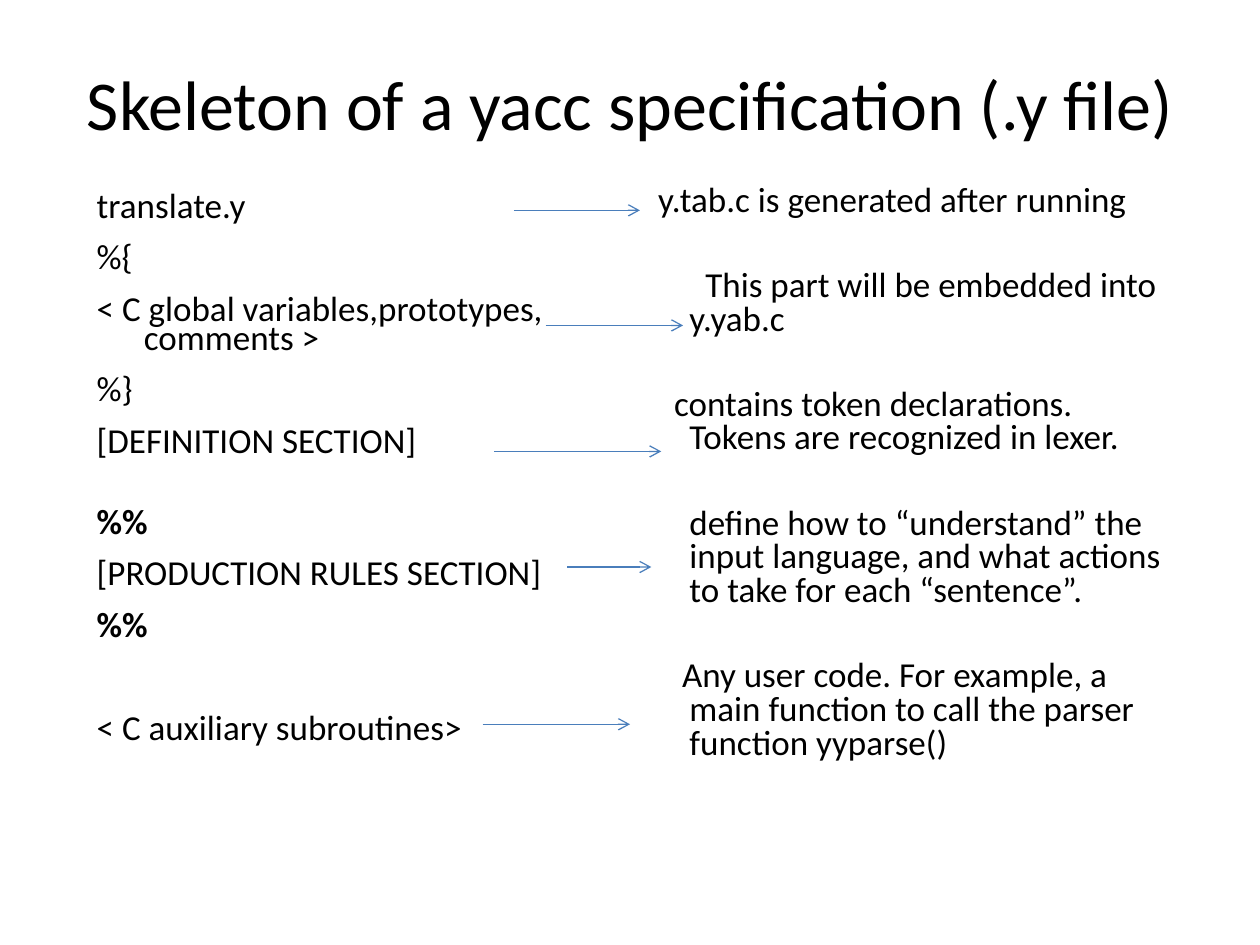
import pptx
import pptx.dml.color
import pptx.enum.shapes
import pptx.enum.text
import pptx.oxml.ns
import pptx.util
from lxml import etree

Cm = pptx.util.Cm
Pt = pptx.util.Pt

BLACK = pptx.dml.color.RGBColor(0x00, 0x00, 0x00)
ARROW_BLUE = pptx.dml.color.RGBColor(0x4A, 0x7E, 0xBB)
FONT = "Calibri"
HANG = 0.95  # left indent of wrapped lines, in cm

# Regions in cm: left, top, width, height
TITLE_BOX = (1.27, 0.76, 22.86, 2.62)
SKELETON_BOX = (1.7, 3.81, 11.23, 13.21)
NOTES_BOX = (12.7, 3.61, 11.23, 13.64)
ARROWS_BOX = (9.73, 4.24, 4.04, 10.36)

# Text, first-line start in cm, space before in points, bold
SKELETON = [
    ("translate.y", 0, 12.5, False),
    ("%{", 0, 12.5, False),
    ("< C global variables,prototypes, comments >", 0, 12.5, False),
    ("%}", 0, 12.5, False),
    ("[DEFINITION SECTION]", 0, 12.5, False),
    ("%%", 0, 29.6, True),
    ("[PRODUCTION RULES SECTION]", 0, 12.5, False),
    ("%%", 0, 12.5, True),
    ("< C auxiliary subroutines>", 0, 42.1, False),
]
NOTES = [
    ("y.tab.c is generated after running", 0.32, 5, False),
    ("This part will be embedded into y.yab.c", 1.27, 29.5, False),
    ("contains token declarations. Tokens are recognized in lexer.",
     0.64, 29.5, False),
    ("define how to “understand” the input language, and what actions "
     "to take for each “sentence”.", 0.95, 29.5, False),
    ("Any user code. For example, a main function to call the parser "
     "function yyparse()", 0.8, 29.5, False),
]
# Start, end and height of each arrow inside its region, in cm
ARROWS = [
    (0.63, 3.17, 0),
    (1.27, 4.04, 2.32),
    (0.23, 3.6, 4.86),
    (1.7, 3.4, 7.19),
    (0, 2.97, 10.36),
]


def add_text_frame(page, box):
    frame = page.shapes.add_textbox(*(Cm(length) for length in box)).text_frame
    frame.word_wrap = True
    return frame


def style_font(para, size, bold=False):
    para.font.name = FONT
    para.font.size = Pt(size)
    para.font.bold = bold
    para.font.color.rgb = BLACK


def add_title(page, box, text):
    frame = add_text_frame(page, box)
    frame.vertical_anchor = pptx.enum.text.MSO_ANCHOR.MIDDLE
    para = frame.paragraphs[0]
    para.text = text
    para.alignment = pptx.enum.text.PP_ALIGN.CENTER
    style_font(para, 40)


def add_column(page, box, entries, line_spacing):
    frame = add_text_frame(page, box)
    for index, (text, start, space_before, bold) in enumerate(entries):
        para = frame.add_paragraph() if index else frame.paragraphs[0]
        para.text = text
        para.line_spacing = line_spacing
        para.space_before = Pt(space_before)
        style_font(para, 20, bold)
        # Hanging indent
        properties = para._p.get_or_add_pPr()
        properties.set("marL", str(Cm(HANG)))
        properties.set("indent", str(Cm(start - HANG)))


def add_arrows(page, box, arrows):
    left, top = box[:2]
    for start, end, height in arrows:
        y = Cm(top + height)
        arrow = page.shapes.add_connector(
            pptx.enum.shapes.MSO_CONNECTOR.STRAIGHT,
            Cm(left + start), y, Cm(left + end), y)
        arrow.line.color.rgb = ARROW_BLUE
        arrow.line.width = Pt(0.75)
        # Open arrowhead, no shadow
        outline = arrow.line._get_or_add_ln()
        etree.SubElement(outline, pptx.oxml.ns.qn("a:tailEnd"), type="arrow")
        etree.SubElement(arrow._element.spPr, pptx.oxml.ns.qn("a:effectLst"))


def main():
    deck = pptx.Presentation()
    deck.slide_width, deck.slide_height = Cm(25.4), Cm(19.05)
    page = deck.slides.add_slide(deck.slide_layouts[6])

    add_title(page, TITLE_BOX, "Skeleton of a yacc specification (.y file)")
    add_column(page, SKELETON_BOX, SKELETON, 0.7)
    add_column(page, NOTES_BOX, NOTES, 0.8)
    add_arrows(page, ARROWS_BOX, ARROWS)

    deck.save("out.pptx")


if __name__ == "__main__":
    main()
